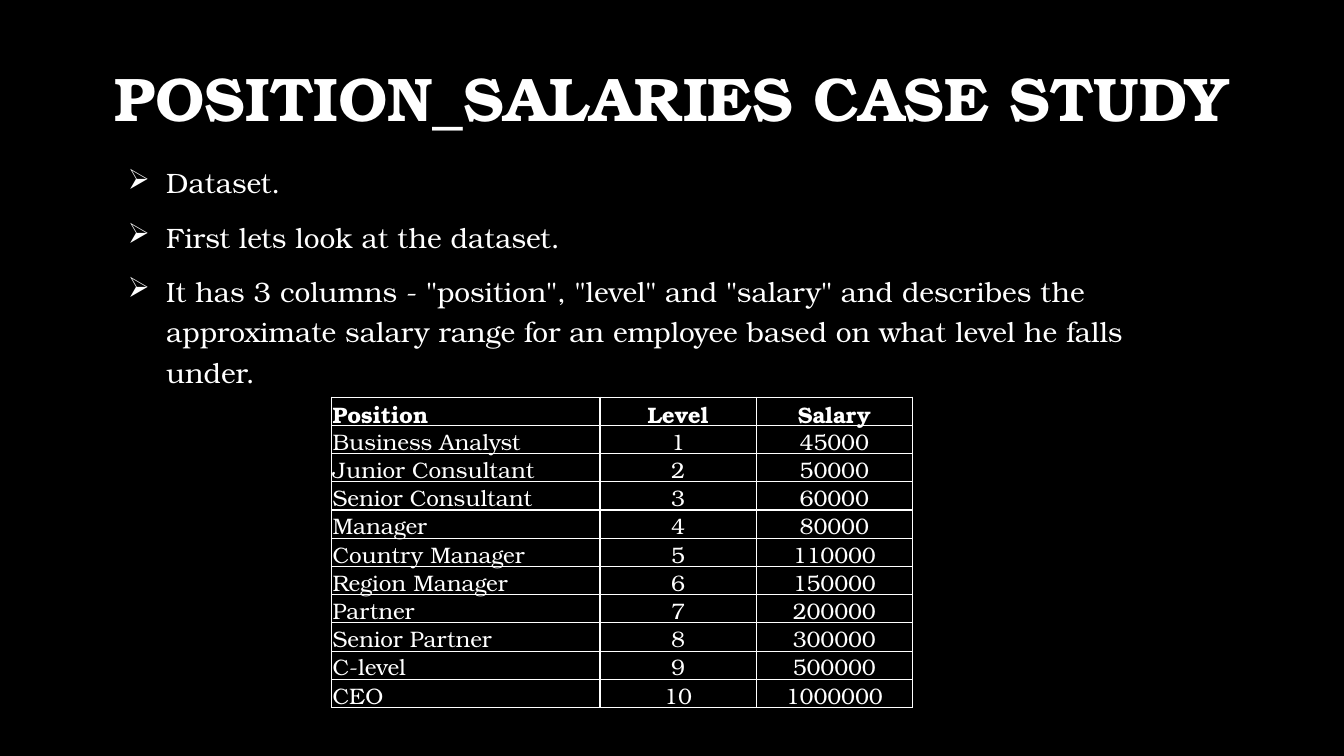
"""Build the position and salary case study slide."""
import pptx
import pptx.dml.color
import pptx.enum.text
import pptx.oxml
import pptx.oxml.ns
import pptx.util

Inches = pptx.util.Inches
ALIGN = pptx.enum.text.PP_ALIGN
ANCHOR = pptx.enum.text.MSO_ANCHOR

TITLE = "POSITION_SALARIES CASE STUDY"
POINTS = [
    "Dataset.",
    "First lets look at the dataset.",
    'It has 3 columns - "position", "level" and "salary" and describes the '
    "approximate salary range for an employee based on what level he falls under.",
]
HEADS = ("Position", "Level", "Salary")
JOBS = [
    ("Business Analyst", 45000),
    ("Junior Consultant", 50000),
    ("Senior Consultant", 60000),
    ("Manager", 80000),
    ("Country Manager", 110000),
    ("Region Manager", 150000),
    ("Partner", 200000),
    ("Senior Partner", 300000),
    ("C-level", 500000),
    ("CEO", 1000000),
]
ROWS = [HEADS] + [(job, level, pay) for level, (job, pay) in enumerate(JOBS, 1)]
WIDTHS = (2.66, 1.55, 1.55)
HIGH = 0.28
THEME = {
    "font": "TeX Gyre Bonum",
    "ink": "FFFFFF",
    "back": "000000",
    "title": 44,
    "body": 20,
    "cell": 16,
    "rule": 1,
}


def color(name):
    """Return a theme colour."""
    return pptx.dml.color.RGBColor.from_string(THEME[name])


def write(para, text, size, bold=False, align=ALIGN.LEFT, line=1.0, before=0, mark=None):
    """Put formatted text in a paragraph."""
    para.alignment, para.line_spacing = align, line
    para.space_before = pptx.util.Pt(before)
    run = para.add_run()
    run.text = str(text)
    font = run.font
    font.name, font.size, font.bold = THEME["font"], pptx.util.Pt(THEME[size]), bold
    font.color.rgb = color("ink")
    if mark:
        props = para._p.get_or_add_pPr()
        props.set("marL", str(Inches(0.38)))
        props.set("indent", str(Inches(-0.38)))
        bullet = pptx.oxml.parse_xml(
            f'<a:buChar {pptx.oxml.ns.nsdecls("a")} char="{mark}"/>')
        props.append(bullet)


def frame(slide, left, top, width, height, anchor):
    """Add a wrapping text box and return its text frame."""
    box = slide.shapes.add_textbox(*map(Inches, (left, top, width, height)))
    text = box.text_frame
    text.word_wrap, text.vertical_anchor = True, anchor
    return text


def border(cell):
    """Rule all four sides of a cell."""
    props = cell._tc.get_or_add_tcPr()
    for spot, side in enumerate("LRTB"):
        props.insert(spot, pptx.oxml.parse_xml(
            f'<a:ln{side} {pptx.oxml.ns.nsdecls("a")} w="{pptx.util.Pt(THEME["rule"])}">'
            f'<a:solidFill><a:srgbClr val="{THEME["ink"]}"/></a:solidFill></a:ln{side}>'))


def grid(slide, left, top):
    """Add the salary table."""
    table = slide.shapes.add_table(
        len(ROWS), len(WIDTHS), Inches(left), Inches(top),
        Inches(sum(WIDTHS)), Inches(HIGH * len(ROWS))).table
    table.first_row = table.horz_banding = False
    for column, width in zip(table.columns, WIDTHS):
        column.width = Inches(width)
    for r, row in enumerate(ROWS):
        table.rows[r].height = Inches(HIGH)
        for c, text in enumerate(row):
            cell = table.cell(r, c)
            cell.margin_left = cell.margin_right = cell.margin_top = Inches(0.01)
            cell.margin_bottom = 0
            cell.vertical_anchor = ANCHOR.BOTTOM
            cell.fill.background()
            border(cell)
            write(cell.text_frame.paragraphs[0], text, "cell", bold=r == 0,
                  align=ALIGN.CENTER if c else ALIGN.LEFT)


def main():
    """Assemble and save the slide."""
    deck = pptx.Presentation()
    deck.slide_width, deck.slide_height = Inches(13.33), Inches(7.5)
    slide = deck.slides.add_slide(deck.slide_layouts[6])
    fill = slide.background.fill
    fill.solid()
    fill.fore_color.rgb = color("back")

    head = frame(slide, 1.01, 0.28, 11.32, 1.45, ANCHOR.MIDDLE)
    write(head.paragraphs[0], TITLE, "title", bold=True, align=ALIGN.CENTER, line=0.9)

    body = frame(slide, 1.17, 1.53, 11, 4.83, ANCHOR.TOP)
    for i, point in enumerate(POINTS):
        para = body.add_paragraph() if i else body.paragraphs[0]
        write(para, point, "body", line=1.2, before=10, mark="\u27a2")

    grid(slide, 3.29, 3.94)
    deck.save("out.pptx")


main()
